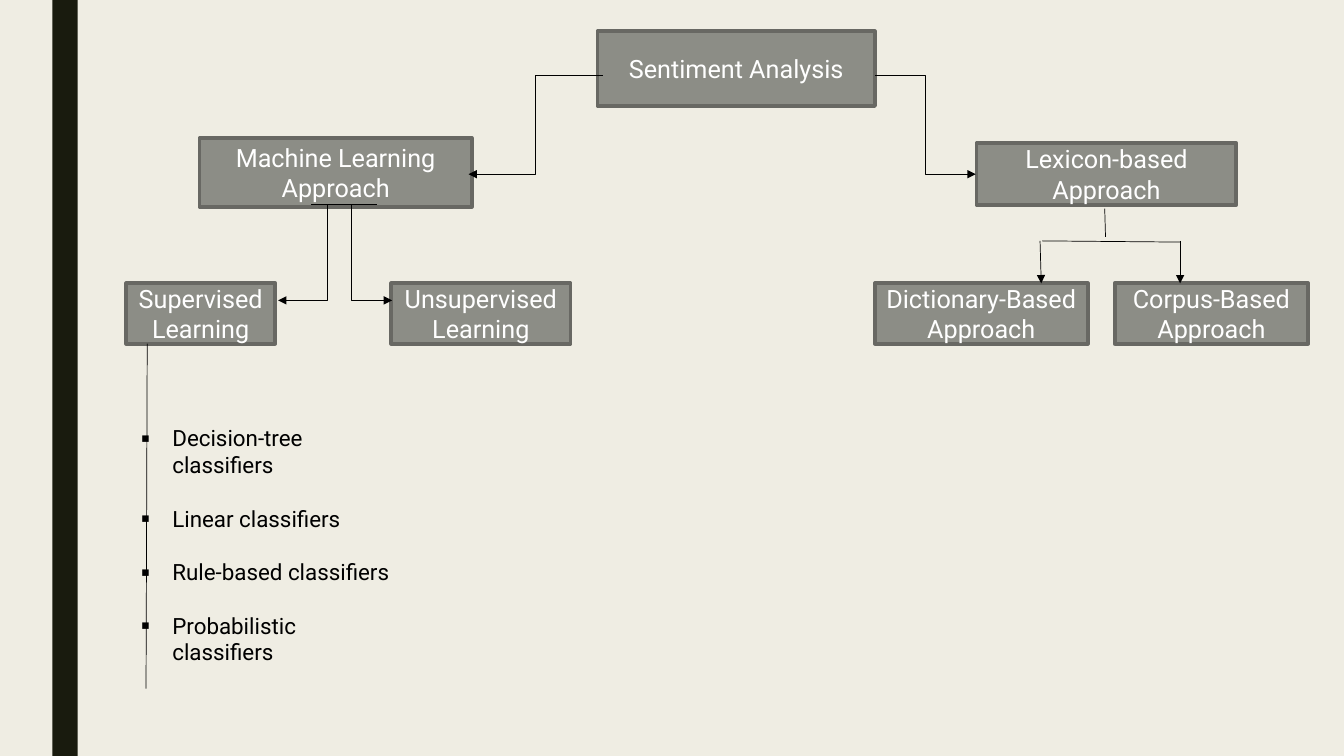
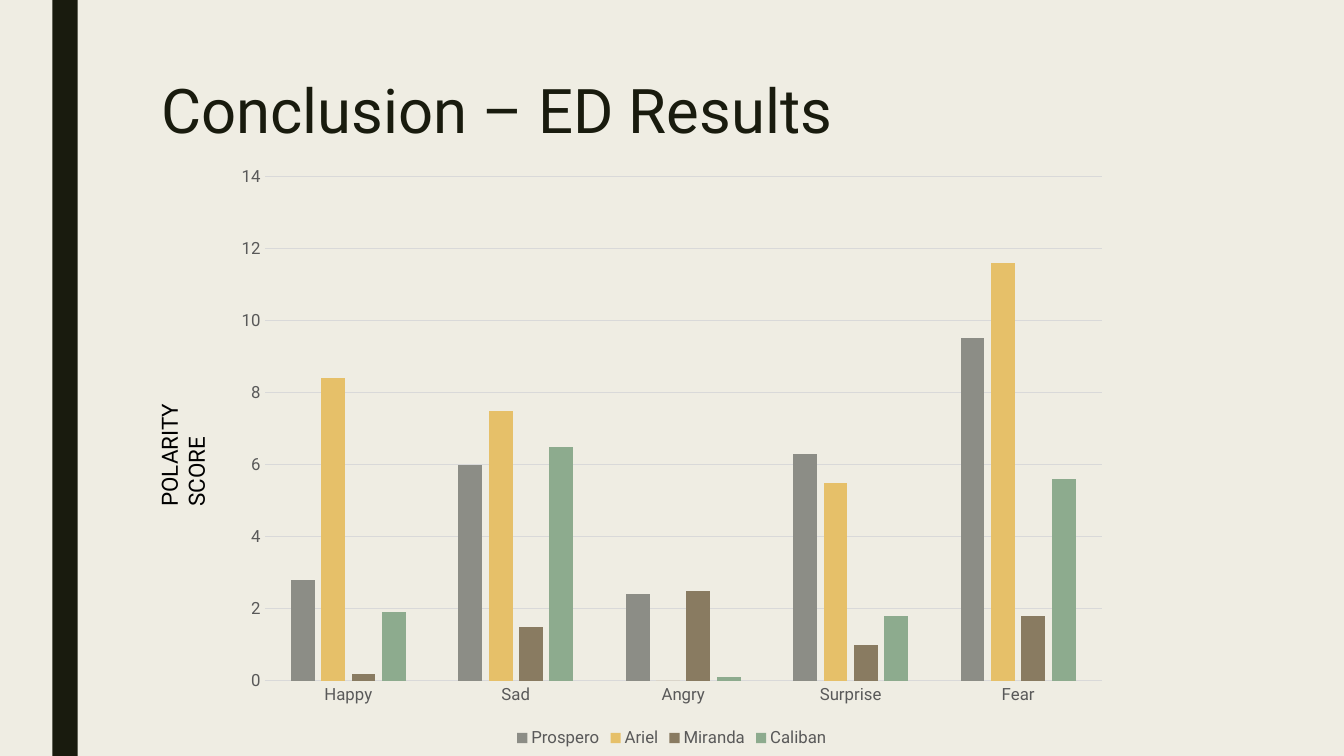
"""Build a sentiment analysis taxonomy slide and an emotion results chart slide."""
from dataclasses import dataclass

import pptx
import pptx.chart.data
import pptx.dml.color
import pptx.enum.chart
import pptx.enum.shapes
import pptx.enum.text
import pptx.oxml.ns
import pptx.util
from lxml import etree

Cm = pptx.util.Cm
Pt = pptx.util.Pt
qn = pptx.oxml.ns.qn


@dataclass(frozen=True)
class Theme:
    font: str = "Roboto"
    background: str = "EFEDE3"
    dark: str = "191B0E"
    ink: str = "000000"
    white: str = "FFFFFF"
    node: str = "8C8D86"
    node_edge: str = "686863"
    axis_text: str = "595959"
    grid: str = "D9D9D9"
    series: tuple = ("8C8D86", "E6C069", "897B61", "8DAB8E")
    title_size: int = 44
    node_size: int = 18
    text_size: int = 16
    chart_size: int = 12
    node_line: float = 2.75
    link_line: float = 0.5
    grid_line: float = 0.75


THEME = Theme()
SLIDE_WIDTH, SLIDE_HEIGHT = 33.87, 19.05
BAND = (1.32, 0, 0.64, SLIDE_HEIGHT)

LEAF_TOP, LEAF_HEIGHT = 7.14, 1.52
NODES = [
    ("Sentiment Analysis", (15.06, 0.79, 6.99, 1.88)),
    ("Machine Learning\nApproach", (5.03, 3.48, 6.86, 1.73)),
    ("Lexicon-based Approach", (24.61, 3.61, 6.55, 1.55)),
]
LEAVES = [
    ("Supervised\nLearning", 3.18, 3.76),
    ("Unsupervised\nLearning", 9.86, 4.52),
    ("Dictionary-Based Approach", 22.05, 5.36),
    ("Corpus-Based Approach", 28.09, 4.88),
]
ELBOW_ARROWS = [
    (22.05, 1.91, 24.59, 4.39),
    (15.19, 1.91, 11.81, 4.39),
    (7.85, 5.16, 9.88, 7.57),
    (9.5, 5.16, 7.01, 7.57),
]
STRAIGHT_ARROWS = [
    (29.74, 6.07, 29.74, LEAF_TOP),
    (26.21, 6.07, 26.24, LEAF_TOP),
]
PLAIN_LINES = [
    (3.71, 8.66, 3.68, 17.35),
    (26.26, 6.07, 29.74, 6.1),
    (27.84, 5.26, 27.86, 5.97),
]
CLASSIFIERS = [
    "Decision-tree classifiers",
    "Linear classifiers",
    "Rule-based classifiers",
    "Probabilistic classifiers",
]
CLASSIFIERS_AREA = (3.3, 10.57, 6.88, 5.74)
BULLET_INDENT = 0.79
BULLET_GAP = 19

RESULTS_TITLE = "Conclusion – ED Results"
TITLE_AREA = (3.81, 1.91, 26.67, 4.11)
SCORE_LABEL = "POLARITY SCORE"
SCORE_AREA = (2.26, 9.88, 4.67, 1.6)
CHART_AREA = (5.64, 3.89, 22.58, 15.06)
EMOTIONS = ["Happy", "Sad", "Angry", "Surprise", "Fear"]
SCORES = {
    "Prospero": (2.8, 6, 2.4, 6.3, 9.5),
    "Ariel": (8.4, 7.5, 0, 5.5, 11.6),
    "Miranda": (0.2, 1.5, 2.5, 1, 1.8),
    "Caliban": (1.9, 6.5, 0.1, 1.8, 5.6),
}


def rgb(value):
    return pptx.dml.color.RGBColor.from_string(value)


def lengths(values):
    return [Cm(value) for value in values]


def place(placeholder, area):
    placeholder.left, placeholder.top, placeholder.width, placeholder.height = lengths(area)


def paint(fill, color):
    fill.solid()
    fill.fore_color.rgb = rgb(color)


def style_font(font, size, color):
    font.name = THEME.font
    font.size = Pt(size)
    font.color.rgb = rgb(color)


def style_line(line, width, color):
    paint(line.fill, color)
    line.width = Pt(width)


def write(frame, text, size, color, align=pptx.enum.text.PP_ALIGN.LEFT,
          anchor=pptx.enum.text.MSO_ANCHOR.TOP):
    frame.text = text
    frame.word_wrap = True
    frame.auto_size = pptx.enum.text.MSO_AUTO_SIZE.NONE
    frame.vertical_anchor = anchor
    for paragraph in frame.paragraphs:
        paragraph.alignment = align
        for run in paragraph.runs:
            style_font(run.font, size, color)


def add_box(slide, area, color):
    box = slide.shapes.add_shape(pptx.enum.shapes.MSO_SHAPE.RECTANGLE, *lengths(area))
    box.shadow.inherit = False
    paint(box.fill, color)
    box.line.fill.background()
    return box


def add_node(slide, label, area):
    node = add_box(slide, area, THEME.node)
    style_line(node.line, THEME.node_line, THEME.node_edge)
    write(node.text_frame, label, THEME.node_size, THEME.white,
          pptx.enum.text.PP_ALIGN.CENTER, pptx.enum.text.MSO_ANCHOR.MIDDLE)


def add_link(slide, ends, kind, arrow):
    link = slide.shapes.add_connector(kind, *lengths(ends))
    style_line(link.line, THEME.link_line, THEME.ink)
    properties = link.element.spPr
    if arrow:
        etree.SubElement(properties.find(qn("a:ln")), qn("a:tailEnd"), type="triangle")
    etree.SubElement(properties, qn("a:effectLst"))


def add_bullet(paragraph):
    properties = paragraph._p.get_or_add_pPr()
    properties.set("marL", str(Cm(BULLET_INDENT)))
    properties.set("indent", str(-Cm(BULLET_INDENT)))
    etree.SubElement(properties, qn("a:buFont"), typeface=THEME.font)
    etree.SubElement(properties, qn("a:buChar"), char="▪")


def style_master(prs, slide):
    master = prs.slide_master
    paint(master.background.fill, THEME.background)
    band = add_box(slide, BAND, THEME.dark)
    master.shapes.element.insert(2, band.element)


def build_taxonomy(slide):
    heading = slide.shapes.title.element
    heading.getparent().remove(heading)
    for label, area in NODES:
        add_node(slide, label, area)
    for label, left, width in LEAVES:
        add_node(slide, label, (left, LEAF_TOP, width, LEAF_HEIGHT))

    connector = pptx.enum.shapes.MSO_CONNECTOR
    for links, kind, arrow in [
        (ELBOW_ARROWS, connector.ELBOW, True),
        (STRAIGHT_ARROWS, connector.STRAIGHT, True),
        (PLAIN_LINES, connector.STRAIGHT, False),
    ]:
        for ends in links:
            add_link(slide, ends, kind, arrow)

    classifiers = slide.placeholders[1]
    place(classifiers, CLASSIFIERS_AREA)
    write(classifiers.text_frame, "\n".join(CLASSIFIERS), THEME.text_size, THEME.ink)
    for index, paragraph in enumerate(classifiers.text_frame.paragraphs):
        add_bullet(paragraph)
        paragraph.space_before = Pt(BULLET_GAP if index else 0)


def add_scores(slide):
    data = pptx.chart.data.CategoryChartData()
    data.categories = EMOTIONS
    for character, values in SCORES.items():
        data.add_series(character, values)
    chart = slide.shapes.add_chart(
        pptx.enum.chart.XL_CHART_TYPE.COLUMN_CLUSTERED, *lengths(CHART_AREA), data).chart
    style_font(chart.font, THEME.chart_size, THEME.axis_text)
    chart.has_title = False
    chart.has_legend = True
    chart.legend.position = pptx.enum.chart.XL_LEGEND_POSITION.BOTTOM
    chart.legend.include_in_layout = False
    style_font(chart.legend.font, THEME.chart_size, THEME.axis_text)

    bars = chart.plots[0]
    bars.vary_by_categories = False
    bars.gap_width = 219
    bars.overlap = -27
    for series, color in zip(bars.series, THEME.series):
        paint(series.format.fill, color)
        series.invert_if_negative = False

    for axis in (chart.category_axis, chart.value_axis):
        axis.major_tick_mark = pptx.enum.chart.XL_TICK_MARK.NONE
        axis.minor_tick_mark = pptx.enum.chart.XL_TICK_MARK.NONE
        style_font(axis.tick_labels.font, THEME.chart_size, THEME.axis_text)
    style_line(chart.category_axis.format.line, THEME.grid_line, THEME.grid)
    score_axis = chart.value_axis
    score_axis.minimum_scale, score_axis.maximum_scale = 0, 14
    score_axis.major_unit = 2
    score_axis.format.line.fill.background()
    style_line(score_axis.major_gridlines.format.line, THEME.grid_line, THEME.grid)


def build_results(slide):
    title = slide.shapes.title
    place(title, TITLE_AREA)
    write(title.text_frame, RESULTS_TITLE, THEME.title_size, THEME.dark)
    title.text_frame.paragraphs[0].line_spacing = 0.89
    add_scores(slide)
    score_label = slide.shapes.add_textbox(*lengths(SCORE_AREA))
    score_label.rotation = 270
    write(score_label.text_frame, SCORE_LABEL, THEME.text_size, THEME.ink)


def main():
    prs = pptx.Presentation()
    prs.slide_width, prs.slide_height = Cm(SLIDE_WIDTH), Cm(SLIDE_HEIGHT)
    taxonomy = prs.slides.add_slide(prs.slide_layouts.get_by_name("Title and Content"))
    style_master(prs, taxonomy)
    build_taxonomy(taxonomy)
    build_results(prs.slides.add_slide(prs.slide_layouts.get_by_name("Title Only")))
    prs.save("out.pptx")


if __name__ == "__main__":
    main()
